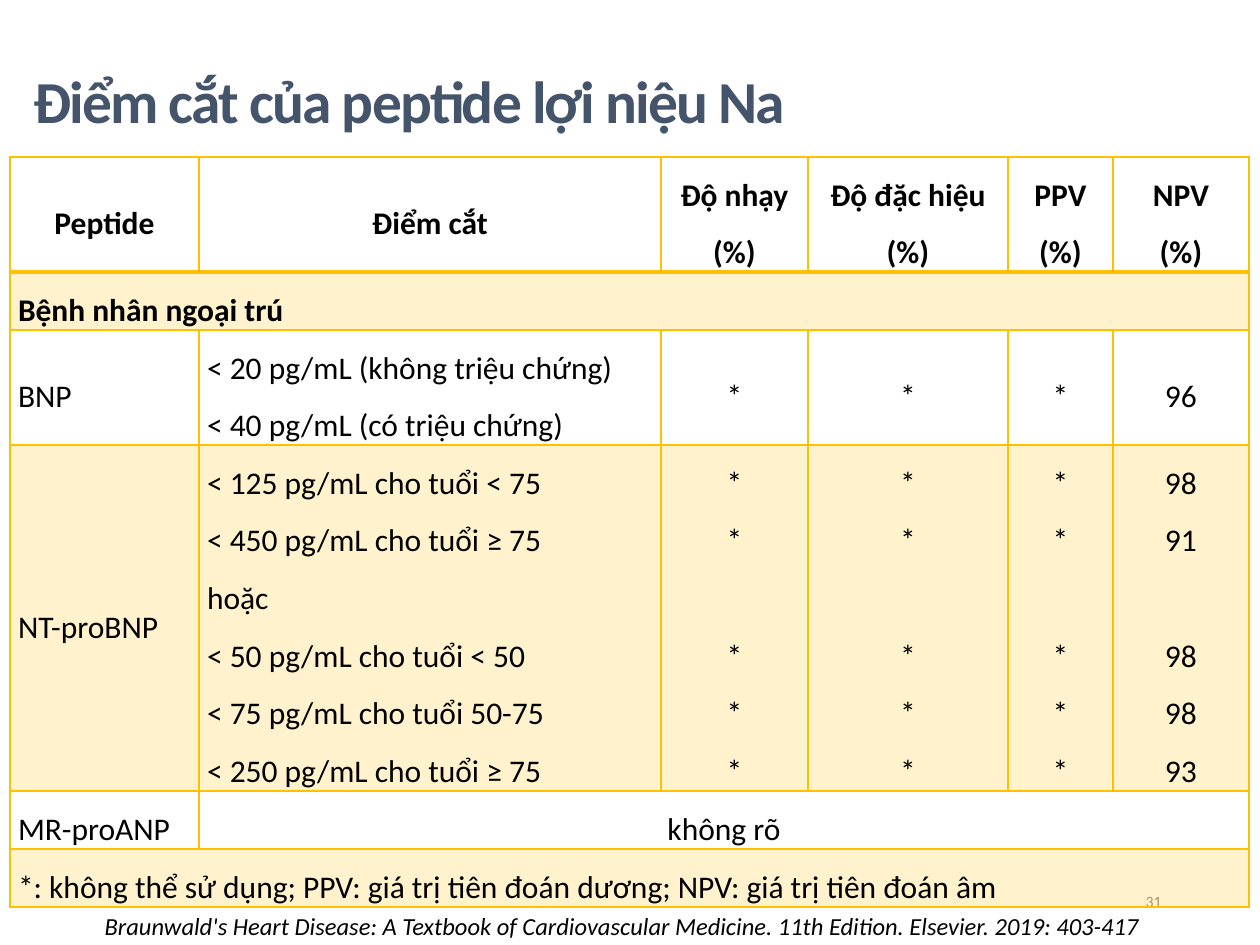
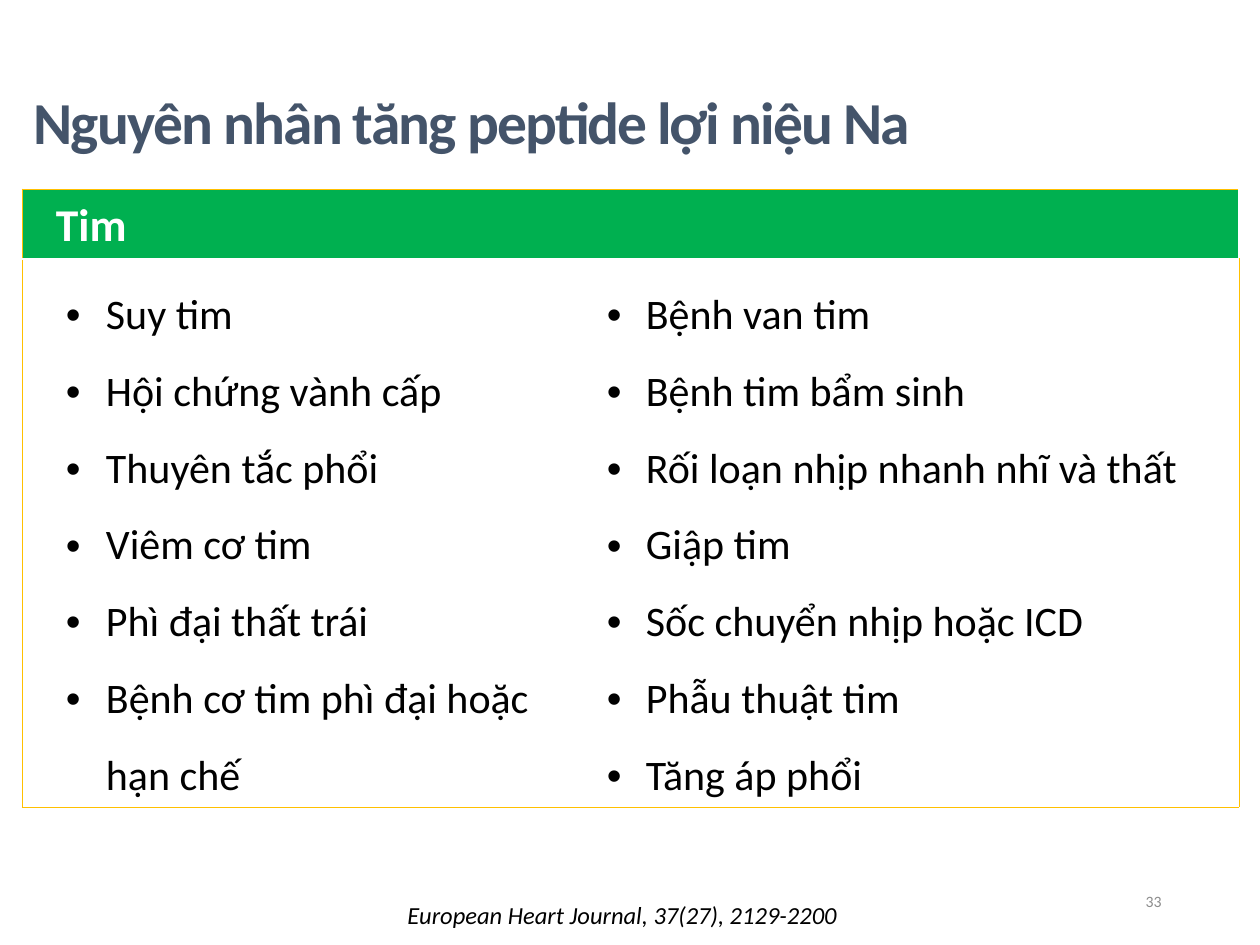
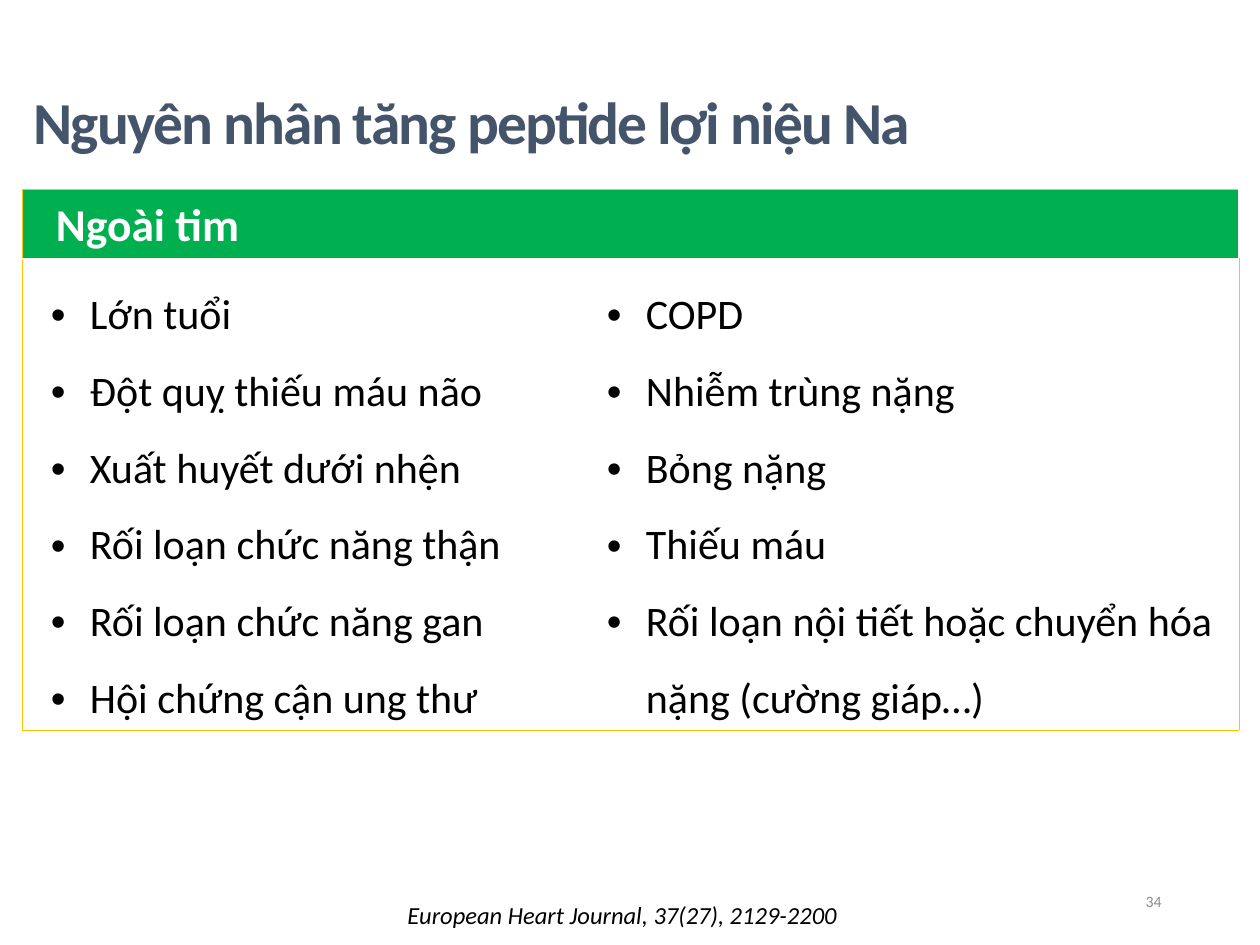
from pptx import Presentation
from pptx.dml.color import RGBColor
from pptx.enum.text import MSO_ANCHOR as Anchor, PP_ALIGN as Align
from pptx.oxml.ns import qn
from pptx.util import Emu, Pt
from lxml.etree import SubElement

# Shared look
EMU_PER_PX = 914400 / 126
FONT = "Calibri"
NAVY = RGBColor(0x44, 0x54, 0x6A)
GRAY = RGBColor(0x8C, 0x8C, 0x8C)
BLACK = RGBColor(0, 0, 0)
WHITE = RGBColor(0xFF, 0xFF, 0xFF)
GOLD = RGBColor(0xFF, 0xC0, 0x00)
GREEN = RGBColor(0x00, 0xB0, 0x50)
GAP = None  # an empty line within a table cell
CELL_LINE = Pt(33)

# Cut-off table: column widths, row heights and contents
CUTOFF_COLUMNS = [189, 462, 147, 200, 105, 136]
STARS = ["*", "*", GAP, "*", "*", "*"]
CUTOFF_ROWS = [
    (115, [["Peptide"], ["Điểm cắt"], ["Độ nhạy", "(%)"], ["Độ đặc hiệu (%)"],
           ["PPV", "(%)"], ["NPV", "(%)"]]),
    (58, [["Bệnh nhân ngoại trú"]]),
    (115, [["BNP"],
           ["< 20 pg/mL (không triệu chứng)", "< 40 pg/mL (có triệu chứng)"],
           ["*"], ["*"], ["*"], ["96"]]),
    (346, [["NT-proBNP"],
           ["< 125 pg/mL cho tuổi < 75", "< 450 pg/mL cho tuổi ≥ 75", "hoặc",
            "< 50 pg/mL cho tuổi < 50", "< 75 pg/mL cho tuổi 50-75",
            "< 250 pg/mL cho tuổi ≥ 75"],
           STARS, STARS, STARS, ["98", "91", GAP, "98", "98", "93"]]),
    (58, [["MR-proANP"], ["không rõ"]]),
    (58, [["*: không thể sử dụng; PPV: giá trị tiên đoán dương; "
           "NPV: giá trị tiên đoán âm"]]),
]

# Cause tables
CAUSE_COLUMNS = [556, 661]
CAUSE_TITLE = "Nguyên nhân tăng peptide lợi niệu Na"
CAUSE_SOURCE = "European Heart Journal, 37(27), 2129-2200"
HEART_CAUSES = [
    ["Suy tim", "Hội chứng vành cấp", "Thuyên tắc phổi", "Viêm cơ tim",
     "Phì đại thất trái", "Bệnh cơ tim phì đại hoặc hạn chế"],
    ["Bệnh van tim", "Bệnh tim bẩm sinh", "Rối loạn nhịp nhanh nhĩ và thất",
     "Giập tim", "Sốc chuyển nhịp hoặc ICD", "Phẫu thuật tim", "Tăng áp phổi"],
]
OTHER_CAUSES = [
    ["Lớn tuổi", "Đột quỵ thiếu máu não", "Xuất huyết dưới nhện",
     "Rối loạn chức năng thận", "Rối loạn chức năng gan",
     "Hội chứng cận ung thư"],
    ["COPD", "Nhiễm trùng nặng", "Bỏng nặng", "Thiếu máu",
     "Rối loạn nội tiết hoặc chuyển hóa nặng (cường giáp…)"],
]


def px(length):
    return Emu(round(length * EMU_PER_PX))


def write_text(frame, lines, size=18, color=BLACK, bold=False, italic=False,
               align=Align.LEFT, spacing=None, letter_spacing=None,
               margin=0, indent=0, bullet=None):
    """Write one paragraph per line; a GAP becomes space before the next."""
    paragraph, gap = None, False
    for line in lines:
        if line is GAP:
            gap = True
            continue
        paragraph = frame.add_paragraph() if paragraph else frame.paragraphs[0]
        properties = paragraph._p.get_or_add_pPr()
        if margin or indent:
            properties.set("marL", str(px(margin)))
            properties.set("indent", str(px(indent)))
        if bullet:
            SubElement(properties, qn("a:buFont"), typeface="Arial")
            SubElement(properties, qn("a:buChar"), char=bullet)
        paragraph.alignment = align
        if spacing:
            paragraph.line_spacing = spacing
        if gap:
            paragraph.space_before = CELL_LINE
            gap = False
        run = paragraph.add_run()
        run.text = line
        font = run.font
        font.name, font.size = FONT, Pt(size)
        font.bold, font.italic = bold, italic
        font.color.rgb = color
        if letter_spacing:
            run._r.get_or_add_rPr().set("spc", str(letter_spacing * 100))


def add_text_box(slide, left, top, width, height, text, anchor=Anchor.MIDDLE,
                 **style):
    frame = slide.shapes.add_textbox(
        px(left), px(top), px(width), px(height)).text_frame
    frame.word_wrap = True
    frame.vertical_anchor = anchor
    write_text(frame, [text], **style)


def add_base_slide(presentation, title, title_top, number, source, source_top):
    """Slide with page number, title and source line."""
    slide = presentation.slides.add_slide(presentation.slide_layouts[6])
    add_text_box(slide, 890, 876, 284, 50, number, size=9, color=GRAY,
                 align=Align.RIGHT)
    add_text_box(slide, 21, title_top, 1176, 136, title, size=34, color=NAVY,
                 bold=True, letter_spacing=-1)
    add_text_box(slide, 38, source_top, 1169, 42, source, anchor=Anchor.TOP,
                 size=14, italic=True, align=Align.CENTER, spacing=1.07)
    return slide


def add_plain_table(slide, left, top, columns, rows):
    table = slide.shapes.add_table(
        len(rows), len(columns), px(left), px(top),
        px(sum(columns)), px(sum(rows))).table
    table.first_row = table.horz_banding = False
    for column, width in zip(table.columns, columns):
        column.width = px(width)
    for row, height in zip(table.rows, rows):
        row.height = px(height)
    return table


def format_cell(cell, borders, fill=None, alpha=None, side_margin=8,
                edge_margin=0, anchor=Anchor.MIDDLE):
    """borders maps sides, in the order L, R, T, B, to widths in points."""
    cell.margin_left = cell.margin_right = px(side_margin)
    cell.margin_top = cell.margin_bottom = px(edge_margin)
    cell.vertical_anchor = anchor
    properties = cell._tc.get_or_add_tcPr()
    for side, width in borders.items():
        line = SubElement(properties, qn(f"a:ln{side}"), w=str(Pt(width)))
        paint = SubElement(line, qn("a:solidFill"))
        SubElement(paint, qn("a:srgbClr"), val=str(GOLD))
    if fill is None:
        cell.fill.background()
        return
    cell.fill.solid()
    cell.fill.fore_color.rgb = fill
    if alpha:
        color = properties.find(f"{qn('a:solidFill')}/{qn('a:srgbClr')}")
        SubElement(color, qn("a:alpha"), val=str(alpha * 1000))


def add_cutoff_table(slide):
    table = add_plain_table(slide, 10, 157, CUTOFF_COLUMNS,
                            [height for height, _ in CUTOFF_ROWS])
    last = len(CUTOFF_COLUMNS) - 1
    for row, (_, contents) in enumerate(CUTOFF_ROWS):
        for column in range(last + 1):
            borders = {"L": 1, "R": 1, "T": 2 if row == 1 else 1,
                       "B": 2 if row == 0 else 1}
            narrow = row == 0 and column in (2, 3)
            format_cell(table.cell(row, column), borders,
                        fill=GOLD if row % 2 else None, alpha=20,
                        side_margin=3 if narrow else 8)
        # The last filled cell of a short row spans the rest of it
        if len(contents) <= last:
            table.cell(row, len(contents) - 1).merge(table.cell(row, last))
        for column, lines in enumerate(contents):
            if row == 0 or column > 1 or lines == ["không rõ"]:
                align = Align.CENTER
            else:
                align = Align.LEFT if len(contents) == 1 else Align.JUSTIFY
            write_text(table.cell(row, column).text_frame, lines,
                       bold=row < 2, align=align, spacing=1.5)


def add_cause_table(slide, heading, causes, body_height, first_indent):
    table = add_plain_table(slide, 22, 189, CAUSE_COLUMNS, [70, body_height])
    indents = [first_indent, (63, -39)]
    for column, outer_side in enumerate("LR"):
        format_cell(table.cell(0, column), {outer_side: 0.5, "T": 0.5},
                    fill=GREEN, side_margin=5, edge_margin=5)
        body = table.cell(1, column)
        format_cell(body, {outer_side: 0.5, "T": 0.5, "B": 0.5},
                    side_margin=5, edge_margin=5, anchor=Anchor.TOP)
        margin, indent = indents[column]
        write_text(body.text_frame, causes[column], size=24, spacing=1.5,
                   margin=margin, indent=indent, bullet="•")
    header = table.cell(0, 0)
    header.merge(table.cell(0, 1))
    write_text(header.text_frame, [heading], size=26, color=WHITE, bold=True,
               align=Align.JUSTIFY, spacing=1.07, indent=29)


def main():
    presentation = Presentation()
    presentation.slide_width, presentation.slide_height = px(1260), px(945)

    # Cut-off points
    slide = add_base_slide(
        presentation, "Điểm cắt của peptide lợi niệu Na", 32, "31",
        "Braunwald's Heart Disease: A Textbook of Cardiovascular Medicine. "
        "11th Edition. Elsevier. 2019: 403-417", 903)
    add_cutoff_table(slide)

    # Causes inside and outside the heart
    for number, heading, causes, height, first_indent in [
            ("33", "Tim", HEART_CAUSES, 548, (79, -40)),
            ("34", "Ngoài tim", OTHER_CAUSES, 471, (63, -39))]:
        slide = add_base_slide(presentation, CAUSE_TITLE, 53, number,
                               CAUSE_SOURCE, 892)
        add_cause_table(slide, heading, causes, height, first_indent)

    presentation.save("out.pptx")


if __name__ == "__main__":
    main()
